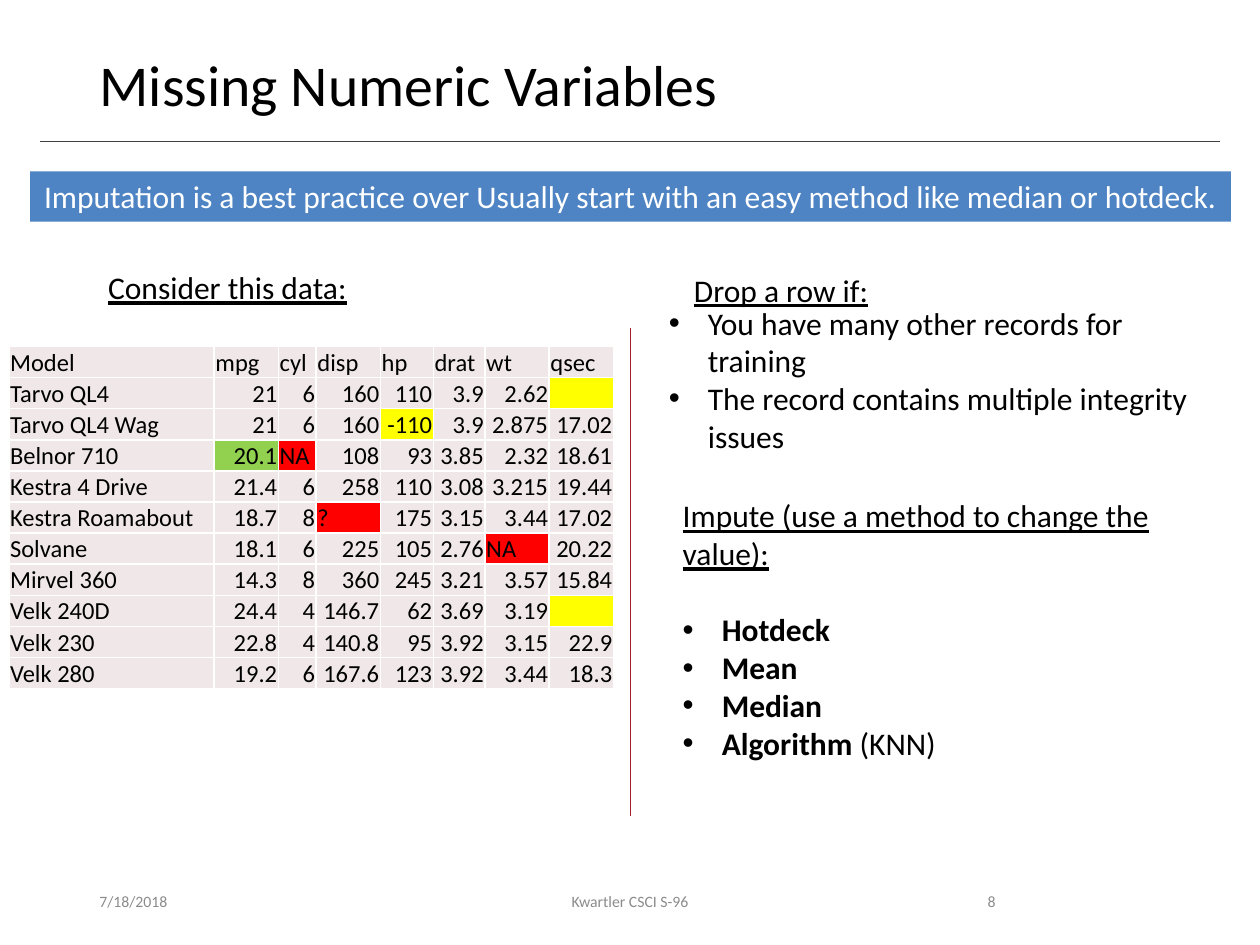
"""Build the slide on missing numeric variables."""
import dataclasses
import typing

import lxml.etree
import pptx
import pptx.dml.color
import pptx.enum.shapes
import pptx.enum.text
import pptx.oxml.ns
import pptx.util

PX = 9144
FACE = "Calibri"
BLACK, WHITE, GREY, PALE = "000000", "FFFFFF", "8C8C8C", "F0E8E8"
BLUE, CRIMSON, RULE = "4E84C4", "A51C30", "404040"
RED, YELLOW, GREEN = "FF0000", "FFFF00", "92D050"
MARKS = {"NA": RED, "?": RED, "": YELLOW, "-110": YELLOW, "20.1": GREEN}
WORDS = ("NA", "?")
ALIGN = pptx.enum.text.PP_ALIGN
ANCHOR = pptx.enum.text.MSO_ANCHOR
FIT = pptx.enum.text.MSO_AUTO_SIZE
Box = tuple[int, int, int, int]

WIDTHS = (163, 51, 30, 51, 42, 41, 51, 51)
ROWS = (
    ("Model", "mpg", "cyl", "disp", "hp", "drat", "wt", "qsec"),
    ("Tarvo QL4", "21", "6", "160", "110", "3.9", "2.62", ""),
    ("Tarvo QL4 Wag", "21", "6", "160", "-110", "3.9", "2.875", "17.02"),
    ("Belnor 710", "20.1", "NA", "108", "93", "3.85", "2.32", "18.61"),
    ("Kestra 4 Drive", "21.4", "6", "258", "110", "3.08", "3.215", "19.44"),
    ("Kestra Roamabout", "18.7", "8", "?", "175", "3.15", "3.44", "17.02"),
    ("Solvane", "18.1", "6", "225", "105", "2.76", "NA", "20.22"),
    ("Mirvel 360", "14.3", "8", "360", "245", "3.21", "3.57", "15.84"),
    ("Velk 240D", "24.4", "4", "146.7", "62", "3.69", "3.19", ""),
    ("Velk 230", "22.8", "4", "140.8", "95", "3.92", "3.15", "22.9"),
    ("Velk 280", "19.2", "6", "167.6", "123", "3.92", "3.44", "18.3"),
)


@dataclasses.dataclass(frozen=True)
class Run:
    """Text with one look."""
    text: str
    bold: bool = False
    underline: bool = False


@dataclasses.dataclass(frozen=True)
class Para:
    """One paragraph of runs."""
    runs: tuple[Run, ...]
    bullet: bool = False
    gap: int = 0


@dataclasses.dataclass(frozen=True)
class Note:
    """A text box and its content."""
    box: Box
    paras: tuple[Para, ...]
    size: int = 18
    color: str = BLACK
    align: typing.Any = ALIGN.LEFT
    anchor: typing.Any = ANCHOR.TOP
    wrap: bool = True


def line(text: str, under: bool = False) -> tuple[Para, ...]:
    """Return a single plain paragraph."""
    return (Para((Run(text, underline=under),)),)


def item(*runs: Run, gap: int = 0) -> Para:
    """Return a bulleted paragraph."""
    return Para(runs, True, gap)


FOOT = {"size": 9, "color": GREY, "anchor": ANCHOR.MIDDLE}
TITLE = Note((69, 40, 862, 65), line("Missing Numeric Variables"), 33)
BANNER = Note((24, 136, 953, 40), line(
    "Imputation is a best practice over Usually start with an easy method like median or hotdeck."),
    color=WHITE, align=ALIGN.CENTER)
NOTES = (
    Note((69, 695, 225, 40), line("7/18/2018"), **FOOT),
    Note((331, 695, 338, 40), line("Kwartler CSCI S-96"), align=ALIGN.CENTER, **FOOT),
    Note((706, 695, 94, 40), line("8"), align=ALIGN.RIGHT, **FOOT),
    Note((76, 208, 212, 40), line("Consider this data:", True), wrap=False),
    Note((541, 210, 160, 40), line("Drop a row if:", True), wrap=False),
    Note((521, 236, 440, 131), (
        item(Run("You have many other records for training")),
        item(Run("The record contains multiple integrity issues")))),
    Note((532, 389, 449, 222), (
        *line("Impute (use a method to change the value):", True),
        item(Run("Hotdeck", True), gap=22),
        item(Run("Mean", True)),
        item(Run("Median", True)),
        item(Run("Algorithm", True), Run(" (KNN)")))),
)


def tint(code: str) -> pptx.dml.color.RGBColor:
    """Turn a hex string into a colour."""
    return pptx.dml.color.RGBColor.from_string(code)


def put(obj: typing.Any, vals: dict[str, typing.Any]) -> None:
    """Set each named value on an object."""
    for key, val in vals.items():
        setattr(obj, key, val)


def place(shape: typing.Any, box: Box) -> None:
    """Move and size a shape."""
    put(shape, {key: val * PX for key, val in zip(("left", "top", "width", "height"), box)})


def dot(para: typing.Any) -> None:
    """Give a paragraph a hanging bullet."""
    props = para._p.get_or_add_pPr()
    props.set("marL", str(31 * PX))
    props.set("indent", str(-31 * PX))
    for tag, key, val in (("a:buFont", "typeface", "Arial"), ("a:buChar", "char", "•")):
        lxml.etree.SubElement(props, pptx.oxml.ns.qn(tag)).set(key, val)


def write(shape: typing.Any, note: Note) -> None:
    """Fill a shape with the text of a note."""
    frame = shape.text_frame
    put(frame, {"word_wrap": note.wrap, "auto_size": FIT.NONE, "vertical_anchor": note.anchor})
    for num, para in enumerate(note.paras):
        part = frame.add_paragraph() if num else frame.paragraphs[0]
        if para.bullet:
            dot(part)
        part.alignment = note.align
        if para.gap:
            part.space_before = pptx.util.Pt(para.gap)
        for run in para.runs:
            piece = part.add_run()
            piece.text = run.text
            put(piece.font, {"name": FACE, "size": pptx.util.Pt(note.size),
                             "bold": run.bold, "underline": run.underline})
            piece.font.color.rgb = tint(note.color)


def rule(slide: typing.Any, ends: Box, color: str) -> None:
    """Draw a thin straight line."""
    kind = pptx.enum.shapes.MSO_CONNECTOR.STRAIGHT
    link = slide.shapes.add_connector(kind, *(val * PX for val in ends))
    link.line.width = pptx.util.Pt(0.5)
    link.line.color.rgb = tint(color)
    lxml.etree.SubElement(link._element.spPr, pptx.oxml.ns.qn("a:effectLst"))


def fill(cell: typing.Any, text: str, body: bool, first: bool) -> None:
    """Format one table cell."""
    put(cell, {"margin_left": PX, "margin_right": PX, "margin_top": PX, "margin_bottom": 0,
               "vertical_anchor": ANCHOR.MIDDLE if first else ANCHOR.BOTTOM})
    cell.fill.solid()
    cell.fill.fore_color.rgb = tint(MARKS.get(text, PALE))
    para = cell.text_frame.paragraphs[0]
    if not text:
        lxml.etree.SubElement(para._p, pptx.oxml.ns.qn("a:endParaRPr")).set("sz", "1400")
        return
    para.alignment = ALIGN.RIGHT if body and not first and text not in WORDS else ALIGN.LEFT
    run = para.add_run()
    run.text = text
    put(run.font, {"name": FACE, "size": pptx.util.Pt(14), "bold": False})
    run.font.color.rgb = tint(BLACK)


def grid(slide: typing.Any) -> None:
    """Draw the table of cars."""
    box = (7, 275, sum(WIDTHS), 24 * len(ROWS))
    table = slide.shapes.add_table(len(ROWS), len(WIDTHS), *(val * PX for val in box)).table
    put(table, {"first_row": False, "horz_banding": False})
    for col, width in zip(table.columns, WIDTHS):
        col.width = width * PX
    for row, texts in enumerate(ROWS):
        for col, text in enumerate(texts):
            fill(table.cell(row, col), text, row > 0, col == 0)


def main() -> None:
    """Build and save the slide."""
    deck = pptx.Presentation()
    put(deck, {"slide_width": 1000 * PX, "slide_height": 750 * PX})
    slide = deck.slides.add_slide(deck.slide_layouts[5])
    rule(slide, (32, 112, 968, 112), RULE)
    title = slide.shapes.title
    place(title, TITLE.box)
    write(title, TITLE)
    title.text_frame.paragraphs[0].line_spacing = 0.9
    kind = pptx.enum.shapes.MSO_SHAPE.RECTANGLE
    band = slide.shapes.add_shape(kind, *(val * PX for val in BANNER.box))
    band.shadow.inherit = False
    band.fill.solid()
    band.fill.fore_color.rgb = tint(BLUE)
    band.line.fill.background()
    write(band, BANNER)
    for note in NOTES:
        write(slide.shapes.add_textbox(*(val * PX for val in note.box)), note)
    rule(slide, (500, 260, 500, 648), CRIMSON)
    grid(slide)
    deck.save("out.pptx")


if __name__ == "__main__":
    main()
